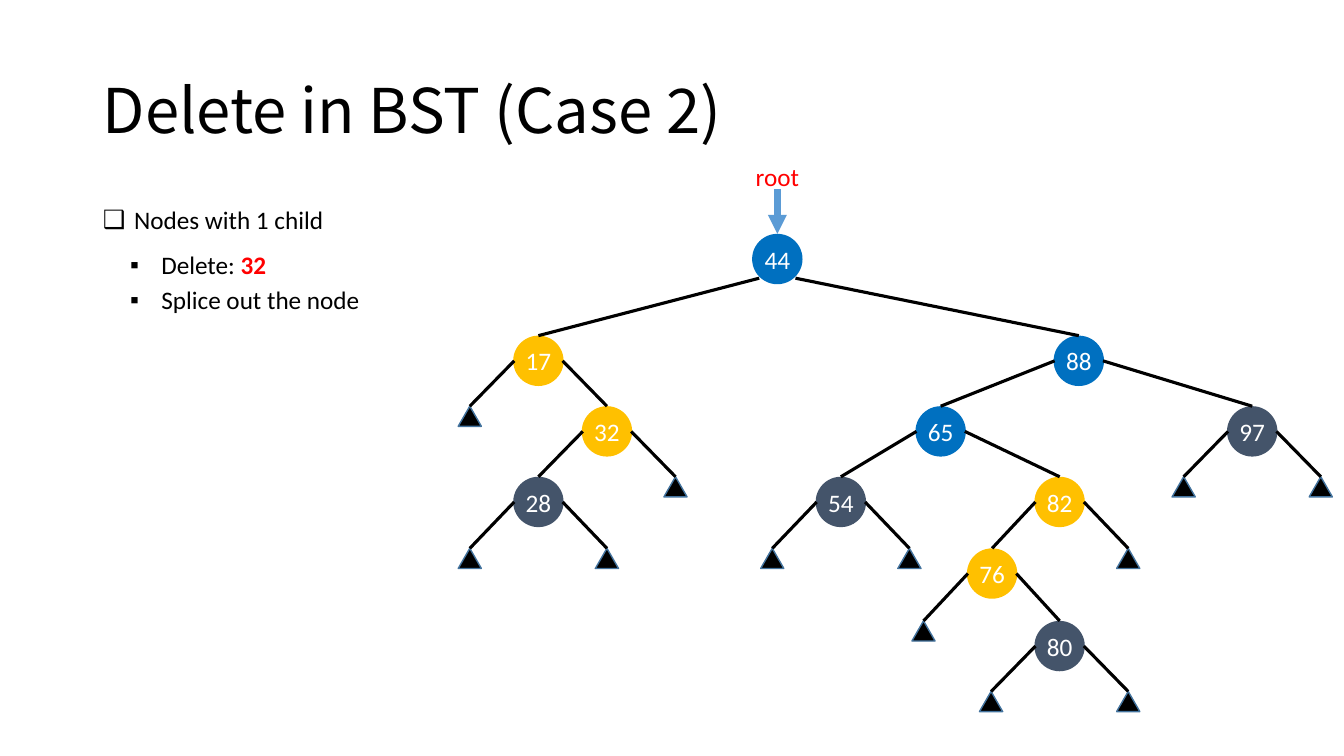
from dataclasses import dataclass
from typing import Optional

from lxml.etree import SubElement
from pptx import Presentation
from pptx.dml.color import RGBColor
from pptx.enum.shapes import MSO_CONNECTOR as Connector, MSO_SHAPE as Preset
from pptx.enum.text import MSO_ANCHOR as Anchor, MSO_AUTO_SIZE as AutoSize, PP_ALIGN as Align
from pptx.oxml.ns import qn
from pptx.util import Inches, Pt

BLACK = RGBColor(0x00, 0x00, 0x00)
WHITE = RGBColor(0xFF, 0xFF, 0xFF)
RED = RGBColor(0xFF, 0x00, 0x00)
BLUE = RGBColor(0x00, 0x70, 0xC0)
GOLD = RGBColor(0xFF, 0xC0, 0x00)
SLATE = RGBColor(0x44, 0x54, 0x6A)
ARROW_BLUE = RGBColor(0x5B, 0x9B, 0xD5)
LEAF_EDGE = RGBColor(0x43, 0x73, 0x9E)

FONT = "Calibri"
TITLE_FONT = "Noto Sans CJK SC"

ROW_TOPS = [2.32, 3.33, 4.03, 4.73, 5.44, 6.16, 6.86]
DIAMETER = 0.5
LEAF_WIDTH, LEAF_HEIGHT = 0.23, 0.2
LEAF_OFFSET = 0.68
ROOT_X = 7.71


@dataclass
class Node:
    key: int
    x: float
    color: RGBColor
    left: Optional["Node"] = None
    right: Optional["Node"] = None


TREE = Node(
    44, ROOT_X, BLUE,
    Node(17, 5.34, GOLD, None, Node(32, 6.02, GOLD, Node(28, 5.34, SLATE))),
    Node(
        88, 10.7, BLUE,
        Node(
            65, 9.33, BLUE,
            Node(54, 8.34, SLATE),
            Node(82, 10.51, GOLD, Node(76, 9.84, GOLD, None, Node(80, 10.51, SLATE))),
        ),
        Node(97, 12.42, SLATE),
    ),
)


def format_run(run, color, size=18, font=FONT, bold=False):
    run.font.name = font
    run.font.size = Pt(size)
    run.font.bold = bold
    run.font.color.rgb = color


def add_title(slide, text):
    title = slide.shapes.title
    title.left, title.top = Inches(0.92), Inches(0.4)
    title.width, title.height = Inches(11.5), Inches(1.45)
    frame = title.text_frame
    frame.text = text
    frame.vertical_anchor = Anchor.MIDDLE
    heading = frame.paragraphs[0]
    heading.alignment = Align.LEFT
    heading.line_spacing = 0.9
    format_run(heading.runs[0], BLACK, 44, TITLE_FONT)


def set_bullet(paragraph, mark, margin, before):
    properties = paragraph._p.get_or_add_pPr()
    properties.set("marL", str(Inches(margin)))
    properties.set("indent", str(-Inches(0.31)))
    SubElement(properties, qn("a:buChar")).set("char", mark)
    paragraph.space_before = Pt(before)


def add_steps(slide):
    steps = slide.placeholders[1]
    steps.left, steps.top = Inches(0.92), Inches(1.98)
    steps.width, steps.height = Inches(3.2), Inches(1.25)
    frame = steps.text_frame
    frame.text = "Nodes with 1 child\nDelete: \nSplice out the node"
    frame.auto_size = AutoSize.NONE
    frame.vertical_anchor = Anchor.TOP
    heading, deletion, splice = frame.paragraphs
    set_bullet(heading, "❑", 0.31, 0)
    set_bullet(deletion, "▪", 0.58, 10.5)
    set_bullet(splice, "▪", 0.58, 3.5)
    for paragraph in frame.paragraphs:
        format_run(paragraph.runs[0], BLACK, bold=paragraph is heading)
    deleted_key = deletion.add_run()
    deleted_key.text = "32"
    format_run(deleted_key, RED, bold=True)


def add_line(slide, x, y, target, color, width):
    line = slide.shapes.add_connector(
        Connector.STRAIGHT, Inches(x), Inches(y), target.left + target.width // 2, target.top)
    line.end_connect(target, 0)
    line.line.color.rgb = color
    line.line.width = Pt(width)
    SubElement(line._element.spPr, qn("a:effectLst"))
    return line


def add_solid(slide, preset, x, top, width, height, color):
    solid = slide.shapes.add_shape(
        preset, Inches(x - width / 2), Inches(top), Inches(width), Inches(height))
    solid.shadow.inherit = False
    solid.fill.solid()
    solid.fill.fore_color.rgb = color
    solid.line.fill.background()
    return solid


def add_leaf(slide, x, depth):
    leaf = add_solid(slide, Preset.ISOSCELES_TRIANGLE, x, ROW_TOPS[depth],
                     LEAF_WIDTH, LEAF_HEIGHT, BLACK)
    leaf.line.color.rgb = LEAF_EDGE
    leaf.line.width = Pt(1)
    return leaf


def add_key(slide, node, depth):
    circle = add_solid(slide, Preset.OVAL, node.x, ROW_TOPS[depth],
                       DIAMETER, DIAMETER, node.color)
    frame = circle.text_frame
    frame.text = str(node.key)
    frame.word_wrap = False
    frame.vertical_anchor = Anchor.MIDDLE
    frame.margin_left = frame.margin_right = frame.margin_top = frame.margin_bottom = 0
    frame.paragraphs[0].alignment = Align.CENTER
    format_run(frame.paragraphs[0].runs[0], WHITE)
    return circle


def add_subtree(slide, node, depth=0):
    circle = add_key(slide, node, depth)
    reach, drop = (0.24, 0.25) if depth else (0.18, 0.44)
    for side, child in ((-1, node.left), (1, node.right)):
        if child:
            target = add_subtree(slide, child, depth + 1)
        else:
            target = add_leaf(slide, node.x + side * LEAF_OFFSET, depth + 1)
        add_line(slide, node.x + side * reach, ROW_TOPS[depth] + drop, target, BLACK, 2.25)
    return circle


def add_root_pointer(slide, root):
    label = slide.shapes.add_textbox(
        Inches(ROOT_X - 0.32), Inches(1.55), Inches(0.64), Inches(0.4))
    frame = label.text_frame
    frame.text = "root"
    frame.word_wrap = False
    frame.paragraphs[0].alignment = Align.CENTER
    format_run(frame.paragraphs[0].runs[0], RED)
    arrow = add_line(slide, ROOT_X, 1.88, root, ARROW_BLUE, 4.5)
    SubElement(arrow.line._get_or_add_ln(), qn("a:tailEnd")).set("type", "triangle")


def main():
    deck = Presentation()
    deck.slide_width, deck.slide_height = Inches(13.33), Inches(7.5)
    slide = deck.slides.add_slide(deck.slide_layouts[1])
    add_title(slide, "Delete in BST (Case 2)")
    add_steps(slide)
    root = add_subtree(slide, TREE)
    add_root_pointer(slide, root)
    deck.save("out.pptx")


if __name__ == "__main__":
    main()
